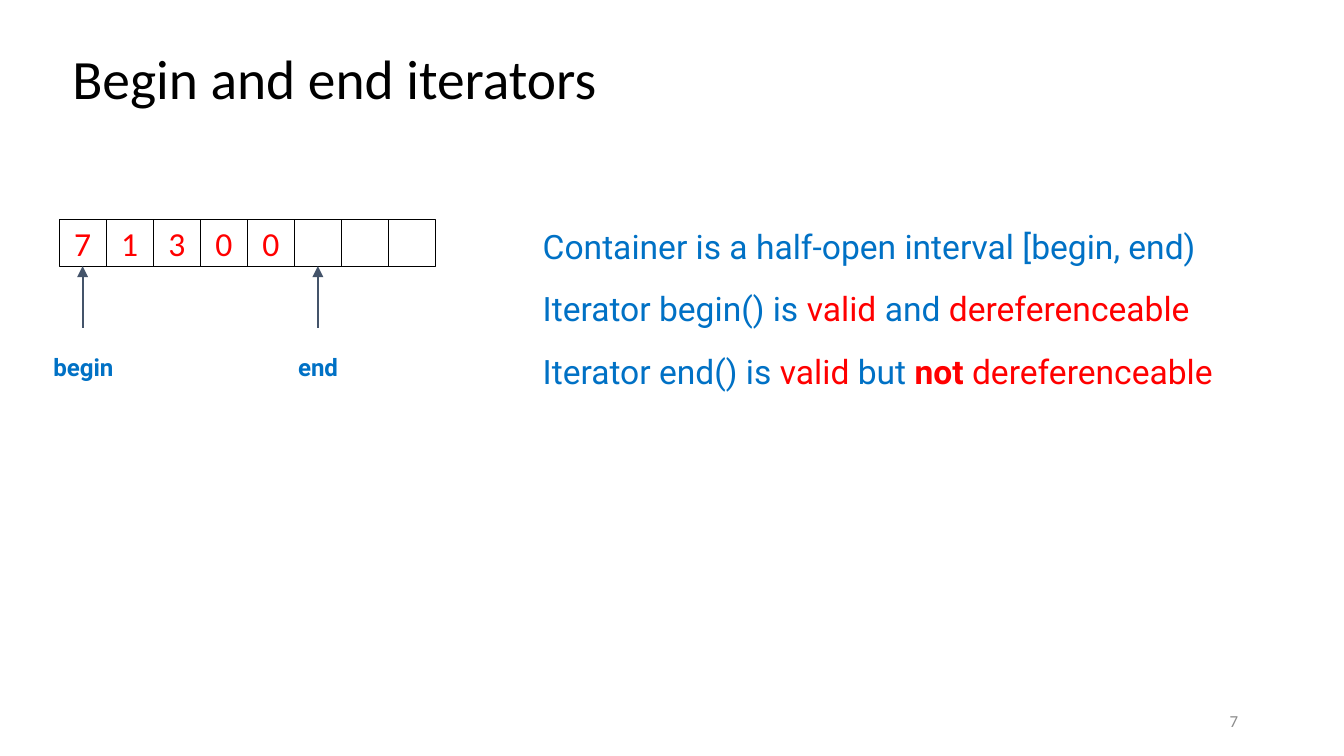
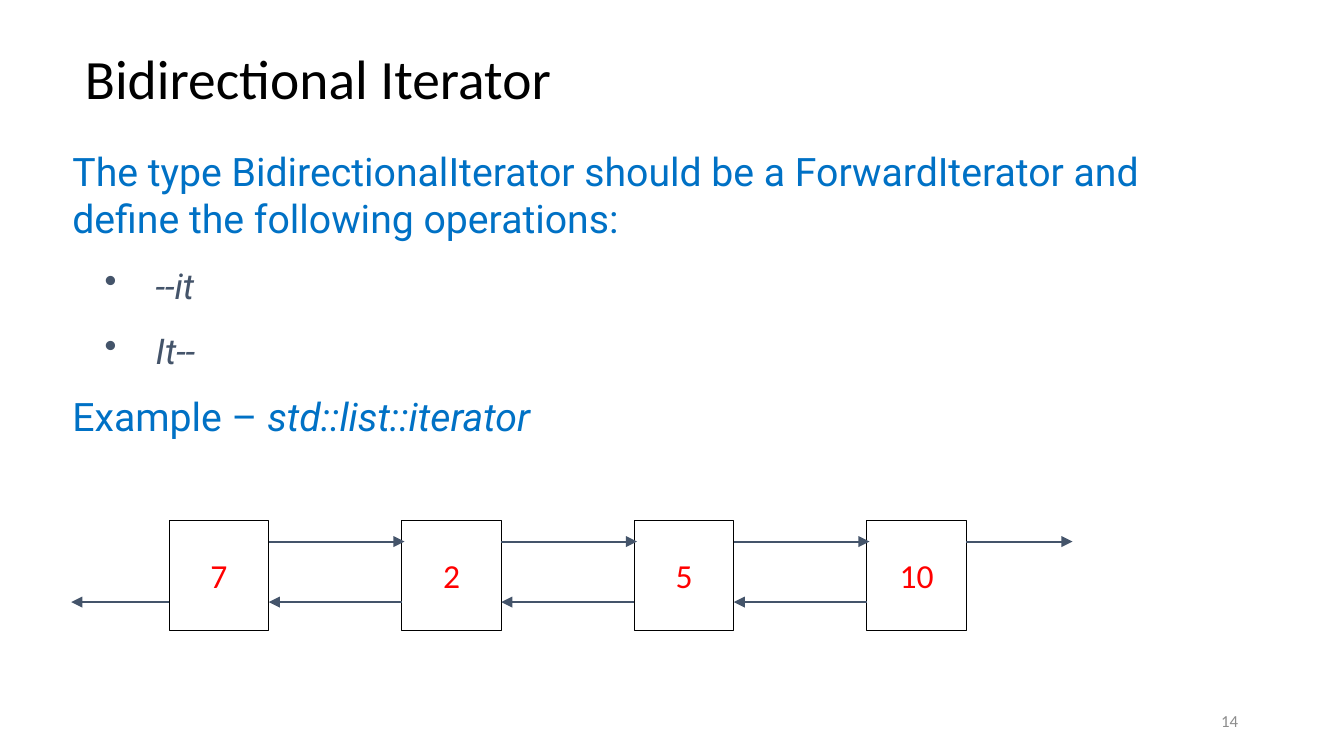
from dataclasses import dataclass

from lxml import etree
from pptx import Presentation
from pptx.dml.color import RGBColor
from pptx.enum.shapes import MSO_CONNECTOR, MSO_SHAPE
from pptx.enum.text import MSO_ANCHOR, PP_ALIGN
from pptx.oxml.ns import qn
from pptx.util import Pt

RECT, STRAIGHT = MSO_SHAPE.RECTANGLE, MSO_CONNECTOR.STRAIGHT
MIDDLE, CENTER, RIGHT = MSO_ANCHOR.MIDDLE, PP_ALIGN.CENTER, PP_ALIGN.RIGHT
PX = 4572  # 200 px to the inch
BOTTOM_SIDE = 2


@dataclass(frozen=True)
class Theme:
    black = RGBColor(0x00, 0x00, 0x00)
    white = RGBColor(0xFF, 0xFF, 0xFF)
    blue = RGBColor(0x00, 0x71, 0xC5)
    red = RGBColor(0xFF, 0x00, 0x00)
    slate = RGBColor(0x44, 0x54, 0x6A)
    grey = RGBColor(0x8C, 0x8C, 0x8C)
    plain = "Calibri"
    body = "Roboto"
    title_size = 29.7
    lead_size = 21
    bullet_size = 19
    text_size = 18
    label_size = 12.9
    number_size = 9


T = Theme()


def add_text(s, at, paragraphs, size, font, color, outlined=False):
    """Add a text box or an outlined box; a paragraph is a list of (text, colour) runs."""
    at = [v * PX for v in at]
    if outlined:
        sp = s.shapes.add_shape(RECT, *at)
        sp.shadow.inherit = False
        sp.fill.solid()
        sp.fill.fore_color.rgb = T.white
        sp.line.color.rgb = T.black
        sp.line.width = Pt(0.5)
    else:
        sp = s.shapes.add_textbox(*at)
    tf = sp.text_frame
    tf.word_wrap = True
    for i, runs in enumerate(paragraphs):
        p = tf.add_paragraph() if i else tf.paragraphs[0]
        p.font.size, p.font.name, p.font.color.rgb = Pt(size), font, color
        if outlined:
            p.alignment = CENTER
        elif font == T.body:
            p.space_before = Pt(12)
        for text, run_color in runs:
            r = p.add_run()
            r.text = text
            r.font.color.rgb = run_color
    return sp


def add_arrow(s, x1, y1, x2, y2):
    line = s.shapes.add_connector(STRAIGHT, x1 * PX, y1 * PX, x2 * PX, y2 * PX)
    line.line.color.rgb = T.slate
    line.line.width = Pt(1)
    etree.SubElement(line.line._get_or_add_ln(), qn("a:tailEnd"), type="triangle")
    etree.SubElement(line._element.spPr, qn("a:effectLst"))
    return line


prs = Presentation()
prs.slide_width, prs.slide_height = 2000 * PX, 1125 * PX

# Title and slide number
slides = []
for title, number in (("Begin and end iterators", "7"), (" Bidirectional Iterator", "14")):
    s = prs.slides.add_slide(prs.slide_layouts[6])
    slides.append(s)
    sp = add_text(s, (88, 68, 1800, 108), [[(title, T.black)]], T.title_size, T.plain, T.black)
    sp.text_frame.vertical_anchor = MIDDLE
    sp.text_frame.paragraphs[0].line_spacing = 0.9
    sp = add_text(s, (1412, 1042, 450, 60), [[(number, T.grey)]], T.number_size, T.plain, T.grey)
    sp.text_frame.vertical_anchor = MIDDLE
    sp.text_frame.paragraphs[0].alignment = RIGHT
begin_end, bidirectional = slides

# Begin and end: a vector with spare cells
left, top, side = 88, 326, 70
cells = []
for i, value in enumerate(("7", "1", "3", "0", "0", "", "", "")):
    runs = [(value, T.red)] if value else []
    cells.append(add_text(begin_end, (left + i * side, top, side, side), [runs],
                          T.text_size, T.plain, T.red, outlined=True))

for name, i, label_left in (("begin", 0, 60), ("end", 5, 424)):
    x = left + i * side + side // 2
    add_arrow(begin_end, x, 488, x, top + side).end_connect(cells[i], BOTTOM_SIDE)
    sp = add_text(begin_end, (label_left, 514, 152, 56), [[(name, T.blue)]],
                  T.label_size, T.body, T.blue)
    sp.text_frame.paragraphs[0].font.bold = True

facts = [
    [("Container is a half-open interval [begin, end)", T.blue)],
    [("Iterator begin() is ", T.blue), ("valid", T.red), (" and ", T.blue),
     ("dereferenceable", T.red)],
    [("Iterator end() is ", T.blue), ("valid", T.red), (" but ", T.blue),
     ("not ", T.red), ("dereferenceable", T.red)],
]
sp = add_text(begin_end, (788, 326, 1154, 420), facts, T.text_size, T.body, T.blue)
sp.text_frame.paragraphs[2].runs[3].font.bold = True

# Bidirectional: required operations
operations = [
    [("The type BidirectionalIterator should be a ForwardIterator and "
      "define the following operations:", T.blue)],
    [("--it", T.slate)],
    [("It--", T.slate)],
]
sp = add_text(bidirectional, (88, 210, 1678, 388), operations, T.lead_size, T.body, T.blue)
for p in sp.text_frame.paragraphs[1:]:
    p.level = 1
    p.font.size, p.font.italic, p.font.color.rgb = Pt(T.bullet_size), True, T.slate
    pPr = p._p.get_or_add_pPr()
    pPr.set("marL", str(124 * PX))
    pPr.set("indent", str(-76 * PX))
    bullet = etree.Element(qn("a:buChar"), char="•")
    pPr.find(qn("a:defRPr")).addprevious(bullet)

# Bidirectional: a doubly linked list
left, top, width, height, pitch = 252, 774, 148, 164, 346
next_y, previous_y = 806, 896
values = ("7", "2", "5", "10")
for i, value in enumerate(values):
    add_text(bidirectional, (left + i * pitch, top, width, height), [[(value, T.red)]],
             T.text_size, T.plain, T.red, outlined=True)
for i in range(len(values)):
    x = left + i * pitch
    next_x = x + pitch + 4 if i < len(values) - 1 else 1596
    previous_x = x - pitch + width if i else 106
    add_arrow(bidirectional, x + width, next_y, next_x, next_y)
    add_arrow(bidirectional, x, previous_y, previous_x, previous_y)

example = [[("Example – ", T.blue), ("std::list::iterator", T.blue)]]
sp = add_text(bidirectional, (88, 574, 1464, 296), example, T.lead_size, T.body, T.blue)
sp.text_frame.paragraphs[0].runs[1].font.italic = True

prs.save("out.pptx")
